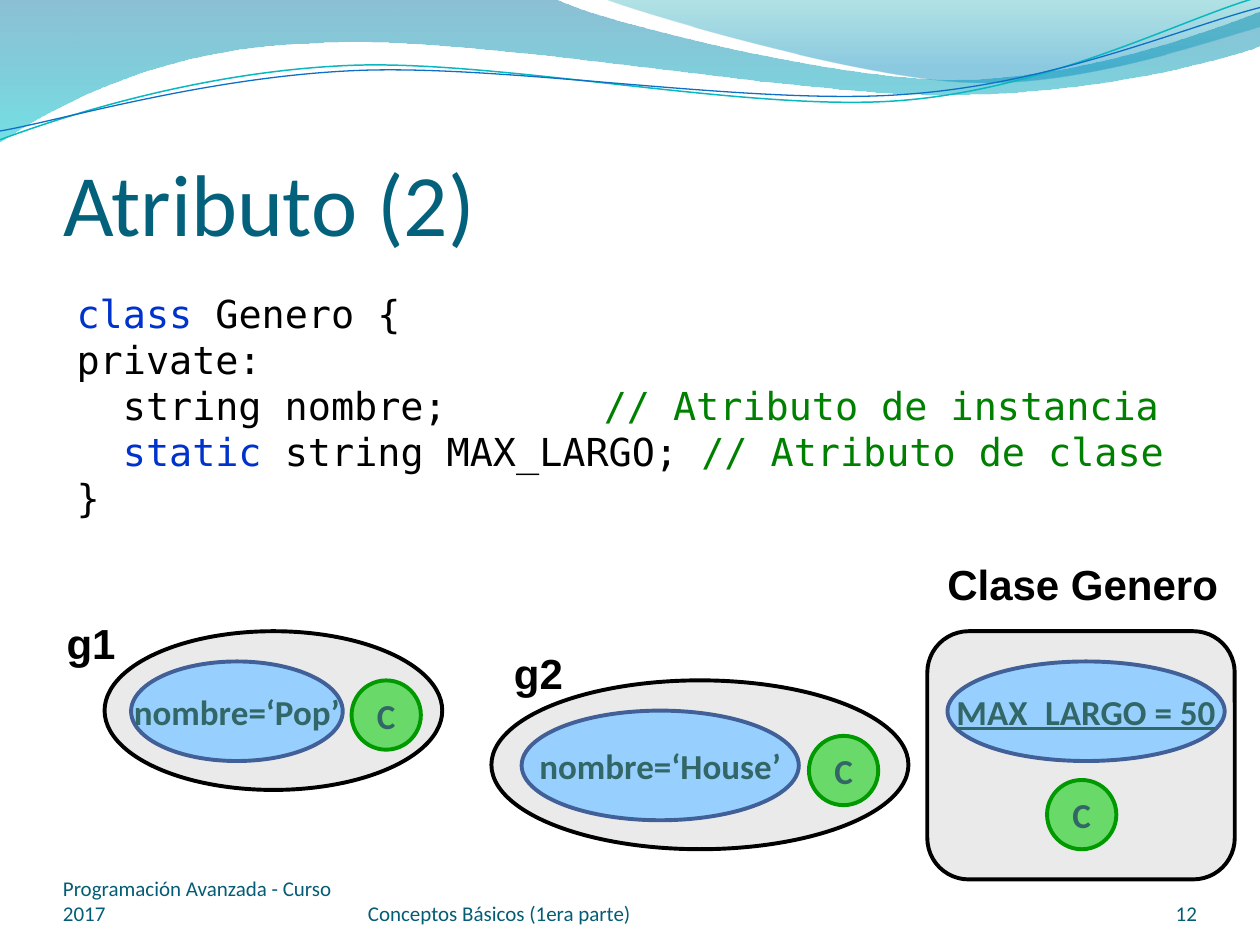
from lxml import etree
from pptx import Presentation
from pptx import util as u
from pptx.dml.color import RGBColor
from pptx.enum import shapes, text
from pptx.oxml.ns import qn

INK = {
    "title": "04617B", "foot": "045D75", "black": "000000", "key": "0033CC",
    "note": "008000", "label": "336666", "gray": "EAEAEA", "blue": "97D0FF",
    "navy": "426098", "green": "69D969", "leaf": "009900", "teal": "0AB8BF",
    "wave": "0F6FC6", "deep": "0074A1", "cyan": "00C6CF", "sea": "00A1A9",
    "sky": "008BBF",
}
KIND = shapes.MSO_SHAPE
ALIGN = text.PP_ALIGN
ANCHOR = text.MSO_ANCHOR
DOT = 0.55  # diameter of a "C" circle

# Wave outlines: a start, then points (2 numbers) or Bézier curves (6 numbers)
BAND = [(0, 0), (4.4, -0.01), (4.76, 0.17, 6.64, 0.63, 7.58, 0.63),
        (8.53, 0.63, 9.58, 0.26, 10, 0.09), (10.01, 0.36),
        (9.83, 0.44, 8.7, 0.76, 7.46, 0.75),
        (6.22, 0.75, 3.82, 0.28, 2.57, 0.34),
        (1.29, 0.36, 0.46, 0.83, -0.01, 1.13)]
CREST = [(4.79, -0.01), (5.09, 0.11, 6.82, 0.62, 7.69, 0.65),
         (8.56, 0.69, 9.61, 0.32, 10, 0.21), (10, 0)]
UPPER = [(0, 1.11), (0.48, 0.93, 1.58, 0.57, 2.77, 0.52),
         (3.95, 0.47, 5.93, 0.89, 7.13, 0.8),
         (8.33, 0.71, 9.38, 0.15, 9.98, -0.02)]
LOWER = [(0, 1.04), (0.47, 0.96, 1.64, 0.61, 2.83, 0.56),
         (4.03, 0.51, 5.97, 0.84, 7.17, 0.75),
         (8.36, 0.67, 9.41, 0.21, 10, 0.06)]

CODE = [
    [("class", "key"), (" Genero {", "black")],
    [("private:", "black")],
    [("  string nombre;\t\t ", "black"), ("// Atributo de instancia", "note")],
    [("  static ", "key"), ("string MAX_LARGO; ", "black"),
     ("// Atributo de clase", "note")],
    [("}", "black")],
]


def rgb(name):
    return RGBColor.from_string(INK[name])


def box(at):
    return [u.Inches(n) for n in at]


def add_run(para, words, size, face, ink, bold=False, under=False):
    run = para.add_run()
    run.text = words
    font = run.font
    font.size, font.name = u.Pt(size), face
    font.bold, font.underline = bold, under
    font.color.rgb = rgb(ink)


def set_frame(frame, anchor, pad=None, wrap=True):
    frame.word_wrap = wrap
    frame.vertical_anchor = anchor
    if pad:
        (frame.margin_left, frame.margin_top,
         frame.margin_right, frame.margin_bottom) = box(pad)


def add_free(slide, points, close):
    """Draw through the end points, then bend the curved pieces."""
    first, *rest = [box(step) for step in points]
    pen = slide.shapes.build_freeform(*first)
    pen.add_line_segments([step[-2:] for step in rest], close=close)
    shape = pen.convert_to_shape()
    shape.shadow.inherit = False
    left, top = shape.left, shape.top
    lines = list(shape._element.spPr.iter(qn("a:lnTo")))
    for line, step in zip(lines, rest):
        if len(step) == 2:
            continue
        line.tag = qn("a:cubicBezTo")
        for child in list(line):
            line.remove(child)
        for x, y in zip(step[::2], step[1::2]):
            etree.SubElement(line, qn("a:pt"), x=str(x - left), y=str(y - top))
    return shape


def add_band(slide, points, stops):
    shape = add_free(slide, points, True)
    shape.line.fill.background()
    shape.fill.gradient()
    shape.fill.gradient_angle = 270
    for stop, (place, ink, _) in zip(shape.fill.gradient_stops, stops):
        stop.position = place
        stop.color.rgb = rgb(ink)
    tints = shape._element.spPr.iter(qn("a:srgbClr"))
    for tint, (_, _, solid) in zip(list(tints), stops):
        etree.SubElement(tint, qn("a:alpha")).set("val", str(solid * 1000))


def add_wave(slide, points, ink, width):
    shape = add_free(slide, points, False)
    shape.fill.background()
    shape.line.color.rgb = rgb(ink)
    shape.line.width = u.Pt(width)


def add_node(slide, kind, at, fill, edge, words="", under=False):
    shape = slide.shapes.add_shape(kind, *box(at))
    shape.shadow.inherit = False
    shape.fill.solid()
    shape.fill.fore_color.rgb = rgb(fill)
    shape.line.color.rgb = rgb(edge)
    shape.line.width = u.Pt(2.25)
    if words:
        set_frame(shape.text_frame, ANCHOR.MIDDLE, wrap=False)
        para = shape.text_frame.paragraphs[0]
        para.alignment = ALIGN.CENTER
        add_run(para, words, 20, "Calibri", "label", True, under)


def add_group(slide, kind, outer, inner, dot, words, under=False):
    """An object or class holding one attribute and its "C" circle."""
    add_node(slide, kind, outer, "gray", "black")
    add_node(slide, KIND.OVAL, inner, "blue", "navy", words, under)
    add_node(slide, KIND.OVAL, (*dot, DOT, DOT), "green", "leaf", "C")


def add_name(slide, at, words):
    frame = slide.shapes.add_textbox(*box(at)).text_frame
    set_frame(frame, ANCHOR.TOP, wrap=False)
    add_run(frame.paragraphs[0], words, 24, "Arial", "black", True)


def add_foot(slide, left, width, words, align=ALIGN.LEFT):
    frame = slide.shapes.add_textbox(*box((left, 6.95, width, 0.4))).text_frame
    set_frame(frame, ANCHOR.BOTTOM, (0, 0, 0, 0))
    frame.paragraphs[0].alignment = align
    add_run(frame.paragraphs[0], words, 12, "Calibri", "foot")


def add_title(slide, words):
    title = slide.shapes.title
    title.left, title.top, title.width, title.height = box((0.5, 0.77, 9, 1.25))
    frame = title.text_frame
    frame.auto_size = text.MSO_AUTO_SIZE.NONE
    set_frame(frame, ANCHOR.BOTTOM, (0, 0.05, 0, 0))
    frame.paragraphs[0].alignment = ALIGN.LEFT
    add_run(frame.paragraphs[0], words, 50, "Calibri", "title")


def set_tabs(para, stops):
    tabs = etree.SubElement(para._p.get_or_add_pPr(), qn("a:tabLst"))
    for stop in box(stops):
        etree.SubElement(tabs, qn("a:tab"), pos=str(stop), algn="l")


def add_code(slide, at, lines):
    frame = slide.shapes.add_textbox(*box(at)).text_frame
    set_frame(frame, ANCHOR.TOP)
    for i, line in enumerate(lines):
        para = frame.add_paragraph() if i else frame.paragraphs[0]
        set_tabs(para, (3, 4))
        for words, ink in line:
            add_run(para, words, 22, "DejaVu Sans Mono", ink)


def main():
    deck = Presentation()
    deck.slide_width, deck.slide_height = u.Inches(10), u.Inches(7.5)
    slide = deck.slides.add_slide(deck.slide_layouts[5])

    # Waves along the top
    add_band(slide, BAND, [(0, "deep", 45), (1, "cyan", 55)])
    add_band(slide, CREST, [(0, "sea", 30), (0.8, "sky", 45)])
    add_wave(slide, UPPER, "teal", 0.85)
    add_wave(slide, LOWER, "wave", 0.75)

    # Title and code
    add_title(slide, "Atributo (2)")
    add_code(slide, (0.51, 2.25, 8.98, 1.95), CODE)

    # Two objects and their class
    add_group(slide, KIND.OVAL, (0.83, 5.01, 2.68, 1.26),
              (1.04, 5.25, 1.68, 0.79), (2.79, 5.4), "nombre=‘Pop’")
    add_group(slide, KIND.OVAL, (3.9, 5.4, 3.31, 1.34),
              (4.14, 5.64, 2.2, 0.87), (6.42, 5.84), "nombre=‘House’")
    add_group(slide, KIND.ROUNDED_RECTANGLE, (7.36, 5.01, 2.44, 1.97),
              (7.52, 5.25, 2.2, 0.79), (8.31, 6.19), "MAX_LARGO = 50", True)
    add_name(slide, (0.43, 4.85, 0.59, 0.5), "g1")
    add_name(slide, (3.98, 5.09, 0.59, 0.5), "g2")
    add_name(slide, (7.42, 4.38, 2.37, 0.5), "Clase Genero")

    # Footer
    add_foot(slide, 0.5, 2.33, "Programación Avanzada - Curso 2017")
    add_foot(slide, 2.92, 3.67, "Conceptos Básicos (1era parte)")
    add_foot(slide, 8.67, 0.83, "12", ALIGN.RIGHT)

    deck.save("out.pptx")


if __name__ == "__main__":
    main()
